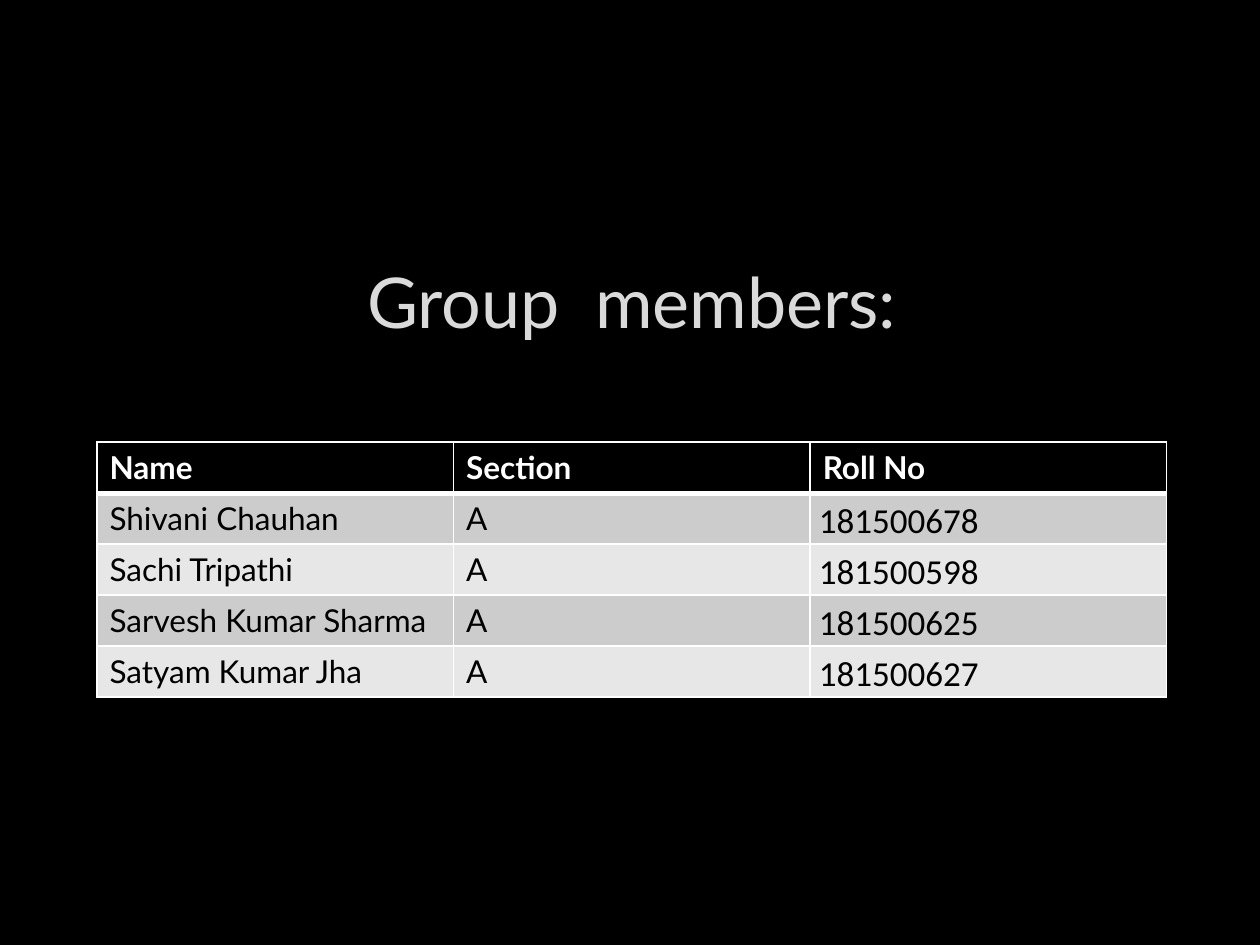
from dataclasses import dataclass

from lxml import etree
from pptx import Presentation
from pptx.dml.color import RGBColor
from pptx.enum.text import MSO_ANCHOR, PP_ALIGN
from pptx.oxml.ns import qn
from pptx.util import Inches, Pt

CENTER, LEFT = PP_ALIGN.CENTER, PP_ALIGN.LEFT
MIDDLE, TOP = MSO_ANCHOR.MIDDLE, MSO_ANCHOR.TOP
TITLE_ONLY = 5
WIDTH, HEIGHT = Inches(10), Inches(7.5)
MARGIN = 0.077
CONTENT_WIDTH = 0.849
HEADINGS = ("Name", "Section ", "Roll No")
MEMBERS = (
    ("Shivani Chauhan", "A", "181500678"),
    ("Sachi Tripathi", "A", "181500598"),
    ("Sarvesh Kumar Sharma", "A", "181500625"),
    ("Satyam Kumar Jha", "A", "181500627"),
)


@dataclass(frozen=True)
class Theme:
    """Colours, fonts, type sizes and line widths of the slide."""
    background: str = "000000"
    title: str = "DADADA"
    light: str = "FFFFFF"
    dark: str = "000000"
    bands: tuple = ("CCCCCC", "E7E7E7")
    font: str = "Lato"
    number_font: str = "Calibri"
    title_size: int = 40
    text_size: int = 18
    number_size: int = 20
    rule: int = 1
    heavy_rule: int = 3


THEME = Theme()


def apply(target, **values):
    """Set each named attribute of the target."""
    for name, value in values.items():
        setattr(target, name, value)


def paint(fill, colour):
    """Give a fill one solid colour."""
    fill.solid()
    fill.fore_color.rgb = RGBColor.from_string(colour)


def write(frame, text, colour, align=LEFT, spacing=None, **font):
    """Write one formatted paragraph into a text frame."""
    para = frame.paragraphs[0]
    apply(para, alignment=align, line_spacing=spacing)
    span = para.add_run()
    span.text = text
    apply(span.font, **font)
    span.font.color.rgb = RGBColor.from_string(colour)


def add_borders(cell, bottom):
    """Draw light lines around a cell, with its own bottom width."""
    properties = cell._tc.get_or_add_tcPr()
    widths = {"lnL": THEME.rule, "lnR": THEME.rule, "lnT": THEME.rule, "lnB": bottom}
    for index, (side, width) in enumerate(widths.items()):
        line = etree.Element(qn(f"a:{side}"), w=str(Pt(width)))
        fill = etree.SubElement(line, qn("a:solidFill"))
        etree.SubElement(fill, qn("a:srgbClr"), val=THEME.light)
        properties.insert(index, line)


def add_title(slide, text):
    """Place and format the slide title."""
    title = slide.shapes.title
    apply(title, left=int(WIDTH * MARGIN), top=int(HEIGHT * 0.248),
          width=int(WIDTH * CONTENT_WIDTH), height=int(HEIGHT * 0.141))
    apply(title.text_frame, vertical_anchor=MIDDLE, word_wrap=True)
    write(title.text_frame, text, THEME.title, CENTER,
          name=THEME.font, size=Pt(THEME.title_size))


def format_cell(cell, text, row, is_number):
    """Format one cell as heading, text or roll number."""
    heading = row == 0
    paint(cell.fill, THEME.dark if heading else THEME.bands[(row - 1) % 2])
    side, edge = (0.07, 0) if is_number else (0.1, 0.05)
    apply(cell, vertical_anchor=TOP, margin_left=Inches(side), margin_right=Inches(side),
          margin_top=Inches(edge), margin_bottom=Inches(edge))
    write(cell.text_frame, text, THEME.light if heading else THEME.dark,
          spacing=1.15 if is_number else None,
          name=THEME.number_font if is_number else THEME.font,
          size=Pt(THEME.number_size if is_number else THEME.text_size), bold=heading)
    on_heading_rule = heading
    add_borders(cell, THEME.heavy_rule if on_heading_rule else THEME.rule)
    if row == 1:
        top = cell._tc.tcPr.find(qn("a:lnT"))
        top.set("w", str(Pt(THEME.heavy_rule)))


def add_member_table(slide, rows):
    """Add the table of members on an even grid."""
    table = slide.shapes.add_table(
        len(rows), len(rows[0]), int(WIDTH * MARGIN), int(HEIGHT * 0.468),
        int(WIDTH * CONTENT_WIDTH), int(HEIGHT * 0.054) * len(rows)).table
    for row, values in enumerate(rows):
        for column, text in enumerate(values):
            is_number = row > 0 and column == len(values) - 1
            format_cell(table.cell(row, column), text, row, is_number)


def main():
    """Build and save the slide."""
    deck = Presentation()
    apply(deck, slide_width=WIDTH, slide_height=HEIGHT)
    slide = deck.slides.add_slide(deck.slide_layouts[TITLE_ONLY])
    paint(slide.background.fill, THEME.background)
    add_title(slide, "Group  members:")
    add_member_table(slide, (HEADINGS, *MEMBERS))
    deck.save("out.pptx")


main()
